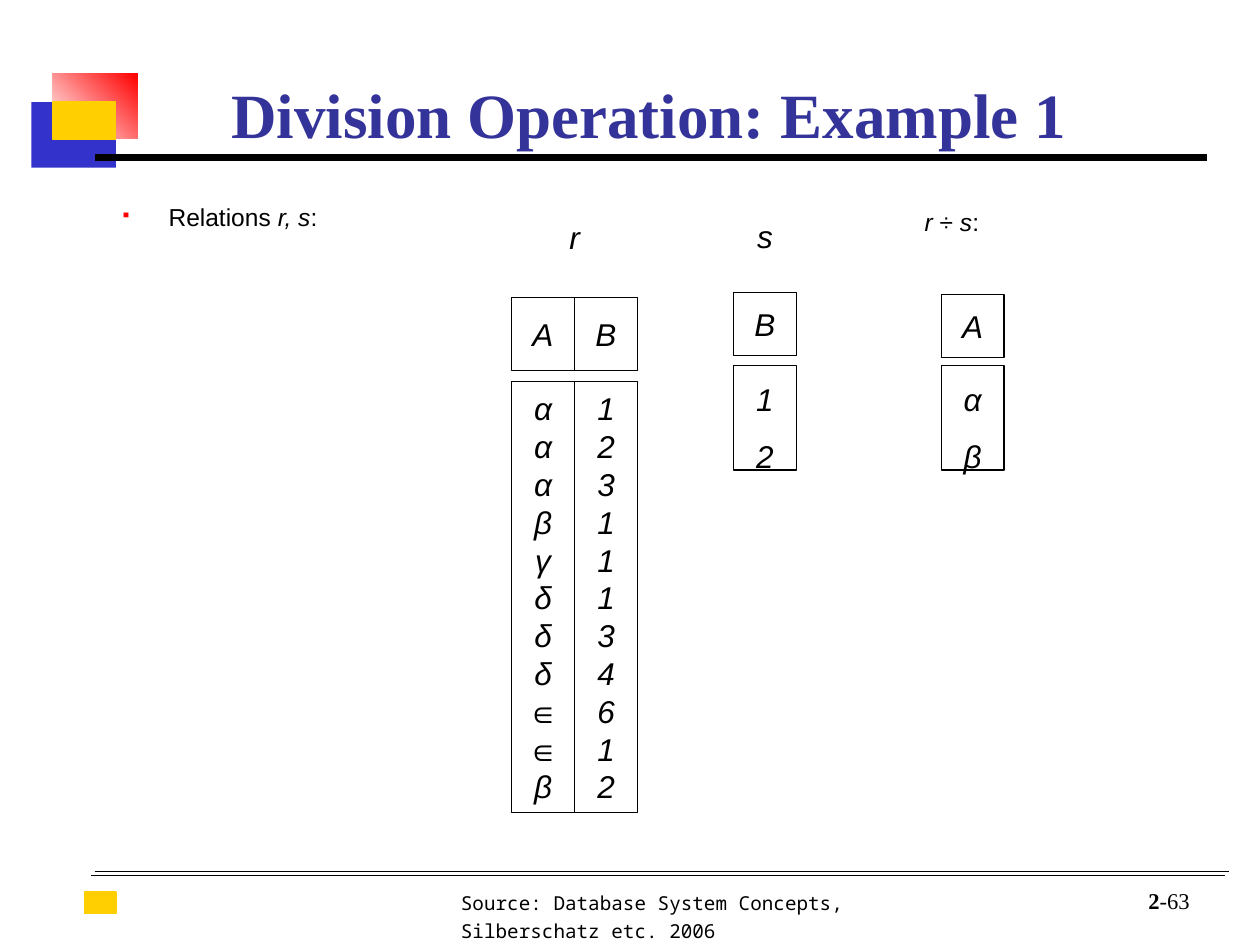
"""Build the slide on the division operation of relational algebra."""
from dataclasses import dataclass

from lxml import etree
from pptx import Presentation, util as u
from pptx.dml.color import RGBColor
from pptx.enum import shapes, text
from pptx.oxml.ns import qn

PX = 9144
LEFT, CENTER, RIGHT = text.PP_ALIGN.LEFT, text.PP_ALIGN.CENTER, text.PP_ALIGN.RIGHT
TOP, MIDDLE, BOTTOM = text.MSO_ANCHOR.TOP, text.MSO_ANCHOR.MIDDLE, text.MSO_ANCHOR.BOTTOM


@dataclass(frozen=True)
class Theme:
    ink: str = "000000"
    paper: str = "FFFFFF"
    heading: str = "333399"
    blue: str = "3333CC"
    red: str = "FF0000"
    gold: str = "FFCF01"
    sans: str = "Arial"
    serif: str = "Times New Roman"
    mono: str = "Noto Sans Mono"
    title_size: float = 36
    cell_size: float = 18
    body_size: float = 14
    page_size: float = 12.9
    source_size: float = 11
    hairline: float = 0.5
    border: float = 0.75
    rule: float = 4.5


THEME = Theme()


@dataclass(frozen=True)
class Box:
    left: int
    top: int
    width: int
    height: int

    def emu(self) -> list[int]:
        return [n * PX for n in (self.left, self.top, self.width, self.height)]


@dataclass(frozen=True)
class Run:
    words: str
    italic: bool = False
    bold: bool = False


@dataclass(frozen=True)
class Style:
    size: float
    font: str = THEME.sans
    color: str = THEME.ink
    align: text.PP_ALIGN = LEFT
    anchor: text.MSO_ANCHOR = TOP
    spacing: float = 1.0
    wrap: bool = True


@dataclass(frozen=True)
class Block:
    box: Box
    style: Style
    runs: tuple[Run, ...]


@dataclass(frozen=True)
class Column:
    heading: str
    values: str
    left: int
    head_top: int
    head_height: int
    body_top: int
    body_height: int
    spacing: float = 1.0


@dataclass(frozen=True)
class Rule:
    left: int
    right: int
    y: int
    weight: float


CELL_WIDTH = 50
LABEL = Style(THEME.cell_size, align=CENTER, anchor=MIDDLE, wrap=False)
BODY = Style(THEME.body_size, spacing=0.8)

COLUMNS = (
    Column("A", "αααβγδδδ∈∈β", 406, 236, 58, 303, 342),
    Column("B", "12311134612", 456, 236, 58, 303, 342),
    Column("B", "12", 582, 232, 50, 290, 83, 1.5),
    Column("A", "αβ", 747, 234, 50, 290, 83, 1.5),
)
RULES = (
    Rule(75, 975, 692, THEME.hairline),
    Rule(75, 958, 125, THEME.rule),
    Rule(72, 972, 695, THEME.hairline),
)
BLOCKS = (
    Block(Box(356, 699, 435, 54), Style(THEME.source_size, THEME.mono, spacing=1.2),
          (Run("Source: Database System Concepts, Silberschatz etc. 2006"),)),
    Block(Box(871, 697, 83, 33), Style(THEME.page_size, THEME.serif, align=RIGHT, anchor=BOTTOM),
          (Run("2", bold=True), Run("-63"))),
    Block(Box(117, 50, 796, 75),
          Style(THEME.title_size, THEME.serif, THEME.heading, CENTER, BOTTOM),
          (Run("Division Operation: Example 1", bold=True),)),
    Block(Box(724, 164, 112, 36), BODY,
          (Run("r ", True), Run("÷ "), Run("s", True), Run(":"))),
    Block(Box(442, 168, 28, 40), LABEL, (Run("r", True),)),
    Block(Box(591, 167, 32, 40), LABEL, (Run("s", True),)),
)
RELATIONS = Block(Box(86, 160, 240, 36), BODY,
                  (Run("Relations "), Run("r, s", True), Run(":")))


def rgb(color: str) -> RGBColor:
    return RGBColor.from_string(color)


def write(frame, style: Style, lines: list[tuple[Run, ...]]) -> None:
    frame.word_wrap = style.wrap
    frame.vertical_anchor = style.anchor
    frame.margin_left = frame.margin_right = 10 * PX
    frame.margin_top = frame.margin_bottom = 5 * PX
    for index, line in enumerate(lines):
        paragraph = frame.add_paragraph() if index else frame.paragraphs[0]
        paragraph.alignment = style.align
        paragraph.line_spacing = style.spacing
        for part in line:
            run = paragraph.add_run()
            run.text = part.words
            run.font.size = u.Pt(style.size)
            run.font.name = style.font
            run.font.color.rgb = rgb(style.color)
            run.font.italic = part.italic
            run.font.bold = part.bold


def draw_block(slide, block: Block):
    area = slide.shapes.add_textbox(*block.box.emu())
    write(area.text_frame, block.style, [block.runs])
    return area.text_frame.paragraphs[0]


def add_bullet(paragraph, color: str, mark: str) -> None:
    properties = paragraph._p.get_or_add_pPr()
    properties.set("marL", str(38 * PX))
    properties.set("indent", str(-38 * PX))
    tint = etree.SubElement(properties, qn("a:buClr"))
    etree.SubElement(tint, qn("a:srgbClr"), val=color)
    etree.SubElement(properties, qn("a:buSzPct"), val="60000")
    etree.SubElement(properties, qn("a:buChar"), char=mark)


def draw_rect(slide, box: Box, fill: str, line: str | None = None):
    rect = slide.shapes.add_shape(shapes.MSO_SHAPE.RECTANGLE, *box.emu())
    rect.shadow.inherit = False
    rect.fill.solid()
    rect.fill.fore_color.rgb = rgb(fill)
    if line:
        rect.line.color.rgb = rgb(line)
        rect.line.width = u.Pt(THEME.border)
    else:
        rect.line.fill.background()
    return rect


def draw_rule(slide, rule: Rule) -> None:
    line = slide.shapes.add_connector(
        shapes.MSO_CONNECTOR.STRAIGHT,
        rule.left * PX, rule.y * PX, rule.right * PX, rule.y * PX)
    line.line.color.rgb = rgb(THEME.ink)
    line.line.width = u.Pt(rule.weight)
    etree.SubElement(line._element.spPr, qn("a:effectLst"))


def draw_column(slide, column: Column) -> None:
    parts = (
        (column.heading, column.head_top, column.head_height, 1.0),
        (column.values, column.body_top, column.body_height, column.spacing),
    )
    for values, top, height, spacing in parts:
        cell = draw_rect(slide, Box(column.left, top, CELL_WIDTH, height), THEME.paper, THEME.ink)
        style = Style(THEME.cell_size, align=CENTER, anchor=MIDDLE, spacing=spacing, wrap=False)
        write(cell.text_frame, style, [(Run(value, True),) for value in values])


def draw_ornament(slide) -> None:
    draw_rect(slide, Box(25, 81, 67, 52), THEME.blue)
    fade = draw_rect(slide, Box(42, 58, 67, 52), THEME.red).fill
    fade.gradient()
    fade.gradient_angle = 45
    for stop, color in zip(fade.gradient_stops, (THEME.paper, THEME.red)):
        stop.color.rgb = rgb(color)
    for box in (Box(42, 81, 50, 30), Box(67, 708, 25, 17)):
        draw_rect(slide, box, THEME.gold, THEME.gold)


def main() -> None:
    deck = Presentation()
    deck.slide_width, deck.slide_height = 1000 * PX, 750 * PX
    slide = deck.slides.add_slide(deck.slide_layouts[6])
    draw_ornament(slide)
    for rule in RULES:
        draw_rule(slide, rule)
    for block in BLOCKS:
        draw_block(slide, block)
    add_bullet(draw_block(slide, RELATIONS), THEME.red, "▪")
    for column in COLUMNS:
        draw_column(slide, column)
    deck.save("out.pptx")


if __name__ == "__main__":
    main()
